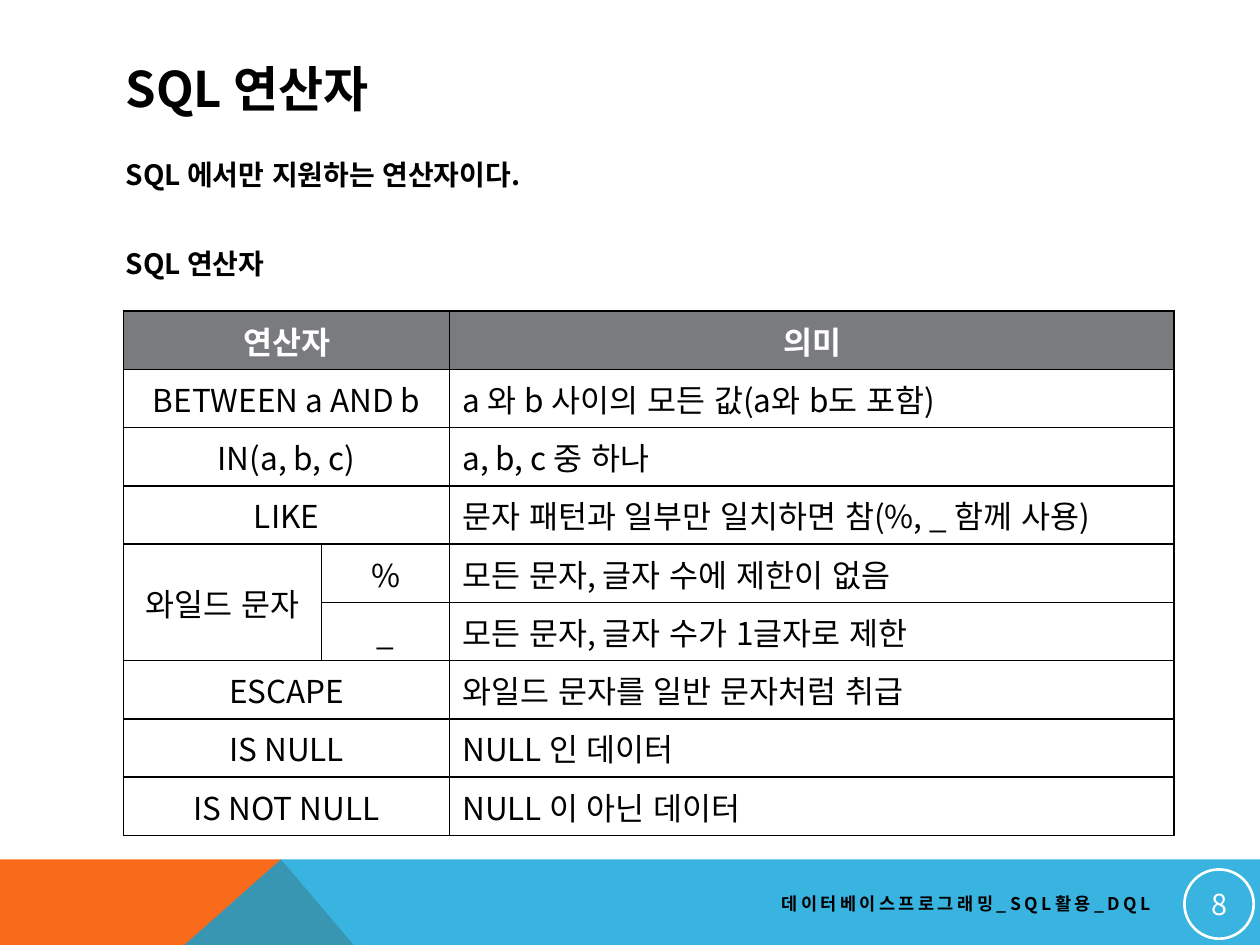
from typing import NamedTuple, Optional

from lxml import etree
from pptx import Presentation
from pptx.dml.color import RGBColor
from pptx.enum.lang import MSO_LANGUAGE_ID
from pptx.enum.shapes import MSO_SHAPE
from pptx.enum.text import MSO_ANCHOR, PP_ALIGN
from pptx.oxml.ns import qn
from pptx.util import Inches, Pt

LEFT, CENTER, RIGHT = PP_ALIGN.LEFT, PP_ALIGN.CENTER, PP_ALIGN.RIGHT
TOP, MIDDLE = MSO_ANCHOR.TOP, MSO_ANCHOR.MIDDLE
ELLIPSE = MSO_SHAPE.OVAL
KOREAN = MSO_LANGUAGE_ID.KOREAN
FONT = "Noto Sans CJK KR"
COLORS = {"black": "000000", "white": "FFFFFF", "orange": "F96A1B",
          "blue": "08A1D9", "header": "797B7E"}


class Band(NamedTuple):
    points: list[tuple[float, float]]
    color: str
    alpha: Optional[int] = None


class Row(NamedTuple):
    operator: str
    meaning: str
    group: str = ""


BAND_TOP, BAND_BOTTOM, PEAK = 6.82, 8.8, 2.23
BANDS = [
    Band([(0, BAND_BOTTOM), (0, BAND_TOP), (PEAK, BAND_TOP), (3.91, BAND_BOTTOM)], "orange"),
    Band([(0, BAND_BOTTOM), (PEAK, BAND_TOP), (10, BAND_TOP), (10, BAND_BOTTOM)], "blue", 80),
]
COL_WIDTHS = [1.57, 1.02, 5.75]
TABLE_HEIGHT = 4.16
ROWS = [
    Row("연산자", "의미"),
    Row("BETWEEN a AND b", "a 와 b 사이의 모든 값(a와 b도 포함)"),
    Row("IN(a, b, c)", "a, b, c 중 하나"),
    Row("LIKE", "문자 패턴과 일부만 일치하면 참(%, _ 함께 사용)"),
    Row("%", "모든 문자, 글자 수에 제한이 없음", "와일드 문자"),
    Row("_", "모든 문자, 글자 수가 1글자로 제한", "와일드 문자"),
    Row("ESCAPE", "와일드 문자를 일반 문자처럼 취급"),
    Row("IS NULL", "NULL 인 데이터"),
    Row("IS NOT NULL", "NULL 이 아닌 데이터"),
]


def rgb(name: str) -> RGBColor:
    return RGBColor.from_string(COLORS[name])


def write(p, text: str, *, size: float, color: str = "black", bold: bool = False,
          align=LEFT, before: float = 0, spacing: float = 0) -> None:
    p.alignment, p.space_before = align, Pt(before)
    r = p.add_run()
    r.text = text
    r.font.name, r.font.size, r.font.bold = FONT, Pt(size), bold
    r.font.color.rgb = rgb(color)
    r.font.language_id = KOREAN
    props = r.font._element
    etree.SubElement(props, qn("a:ea")).set("typeface", FONT)
    if spacing:
        props.set("spc", str(int(spacing * 100)))


def add_text(slide, x: float, y: float, w: float, h: float, anchor=MIDDLE):
    tf = slide.shapes.add_textbox(Inches(x), Inches(y), Inches(w), Inches(h)).text_frame
    tf.word_wrap, tf.vertical_anchor = True, anchor
    return tf


def add_band(slide, band: Band) -> None:
    points = [(Inches(x), Inches(y)) for x, y in band.points]
    fb = slide.shapes.build_freeform(*points[0])
    fb.add_line_segments(points[1:], close=True)
    sp = fb.convert_to_shape()
    sp.shadow.inherit = False
    sp.line.fill.background()
    sp.fill.solid()
    sp.fill.fore_color.rgb = rgb(band.color)
    if band.alpha:
        clr = sp._element.spPr.find(qn("a:solidFill"))[0]
        etree.SubElement(clr, qn("a:alpha")).set("val", str(band.alpha * 1000))


def format_cell(cell, fill: Optional[str]) -> None:
    cell.vertical_anchor = MIDDLE
    tc_pr = cell._tc.get_or_add_tcPr()
    for side in ("lnL", "lnR", "lnT", "lnB"):
        ln = etree.SubElement(tc_pr, qn(f"a:{side}"), w=str(Pt(1)))
        solid = etree.SubElement(ln, qn("a:solidFill"))
        etree.SubElement(solid, qn("a:srgbClr"), val=COLORS["black"])
    if fill:
        cell.fill.solid()
        cell.fill.fore_color.rgb = rgb(fill)
    else:
        cell.fill.background()


def add_operator_table(slide, x: float, y: float) -> None:
    table = slide.shapes.add_table(
        len(ROWS), len(COL_WIDTHS), Inches(x), Inches(y),
        Inches(sum(COL_WIDTHS)), Inches(TABLE_HEIGHT)).table
    for col, width in zip(table.columns, COL_WIDTHS):
        col.width = Inches(width)
    group_start = {}
    for i, row in enumerate(ROWS):
        head = i == 0
        for j in range(len(COL_WIDTHS)):
            format_cell(table.cell(i, j), "header" if head else None)
        style = {"size": 18, "color": "white" if head else "black", "bold": head}
        # Wildcards share a group cell; other operators span two columns
        if not row.group:
            table.cell(i, 0).merge(table.cell(i, 1))
        elif row.group in group_start:
            table.cell(group_start[row.group], 0).merge(table.cell(i, 0))
        else:
            group_start[row.group] = i
            write(table.cell(i, 0).text_frame.paragraphs[0], row.group, align=CENTER, **style)
        operator = table.cell(i, 1 if row.group else 0)
        write(operator.text_frame.paragraphs[0], row.operator, align=CENTER, **style)
        write(table.cell(i, 2).text_frame.paragraphs[0], row.meaning,
              align=CENTER if head else LEFT, **style)


def add_page_number(slide, number: str) -> None:
    sp = slide.shapes.add_shape(ELLIPSE, Inches(9.4), Inches(6.9), Inches(0.55), Inches(0.55))
    sp.shadow.inherit = False
    sp.fill.background()
    sp.line.color.rgb, sp.line.width = rgb("white"), Pt(1.5)
    tf = sp.text_frame
    tf.vertical_anchor = MIDDLE
    tf.margin_left = tf.margin_right = tf.margin_top = tf.margin_bottom = Inches(0.01)
    write(tf.paragraphs[0], number, size=16.5, color="white", align=CENTER)


prs = Presentation()
prs.slide_width, prs.slide_height = Inches(10), Inches(7.5)
s = prs.slides.add_slide(prs.slide_layouts[6])

# Footer bands
for band in BANDS:
    add_band(s, band)

# Title and introduction
write(add_text(s, 0.9, 0.4, 8.22, 0.6).paragraphs[0], "SQL 연산자", size=28, bold=True)
body = add_text(s, 0.9, 1.2, 8.22, 1.21, TOP)
write(body.paragraphs[0], "SQL 에서만 지원하는 연산자이다.", size=16, bold=True)
write(body.add_paragraph(), "SQL 연산자", size=16, bold=True, before=32)

# Footer text and page number
write(add_text(s, 4.06, 7.02, 5.17, 0.3).paragraphs[0], "데이터베이스프로그래밍_SQL활용_DQL",
      size=10, bold=True, align=RIGHT, spacing=2)
add_page_number(s, "8")

# Operator table
add_operator_table(s, 0.98, 2.47)

prs.save("out.pptx")
